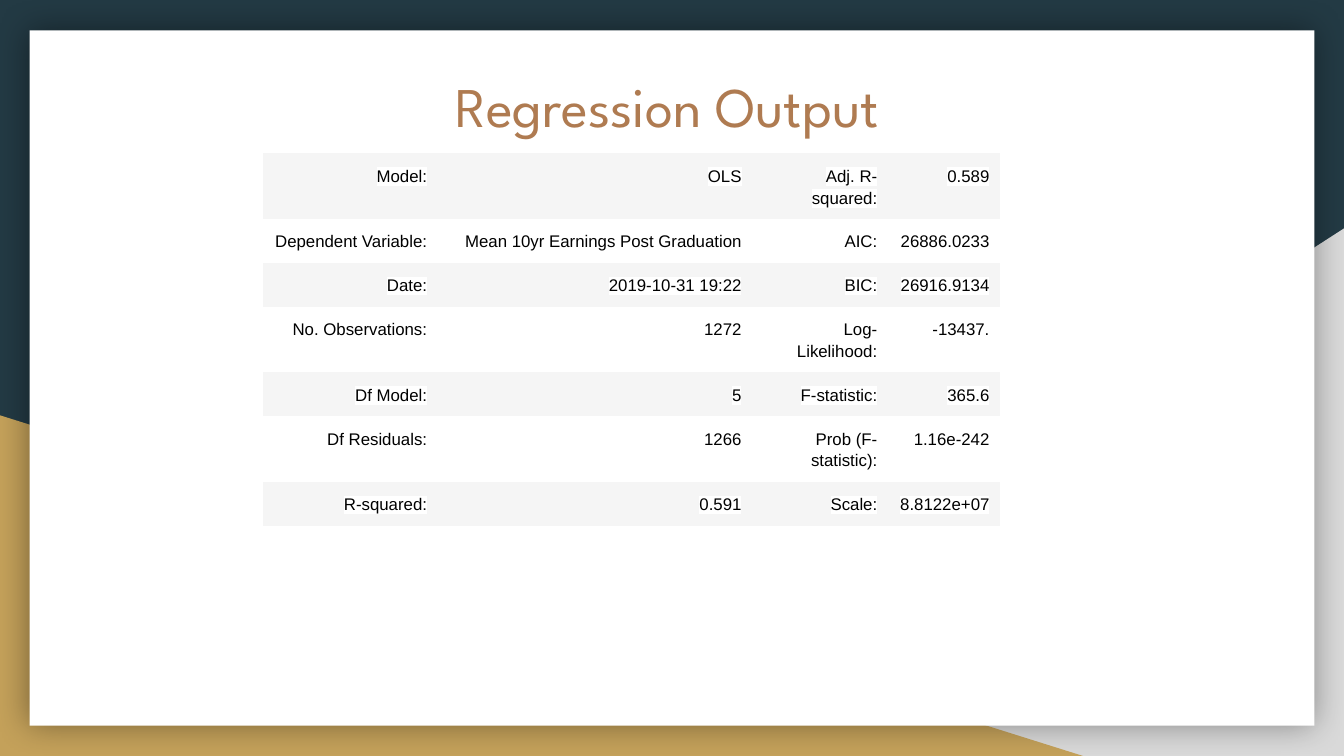
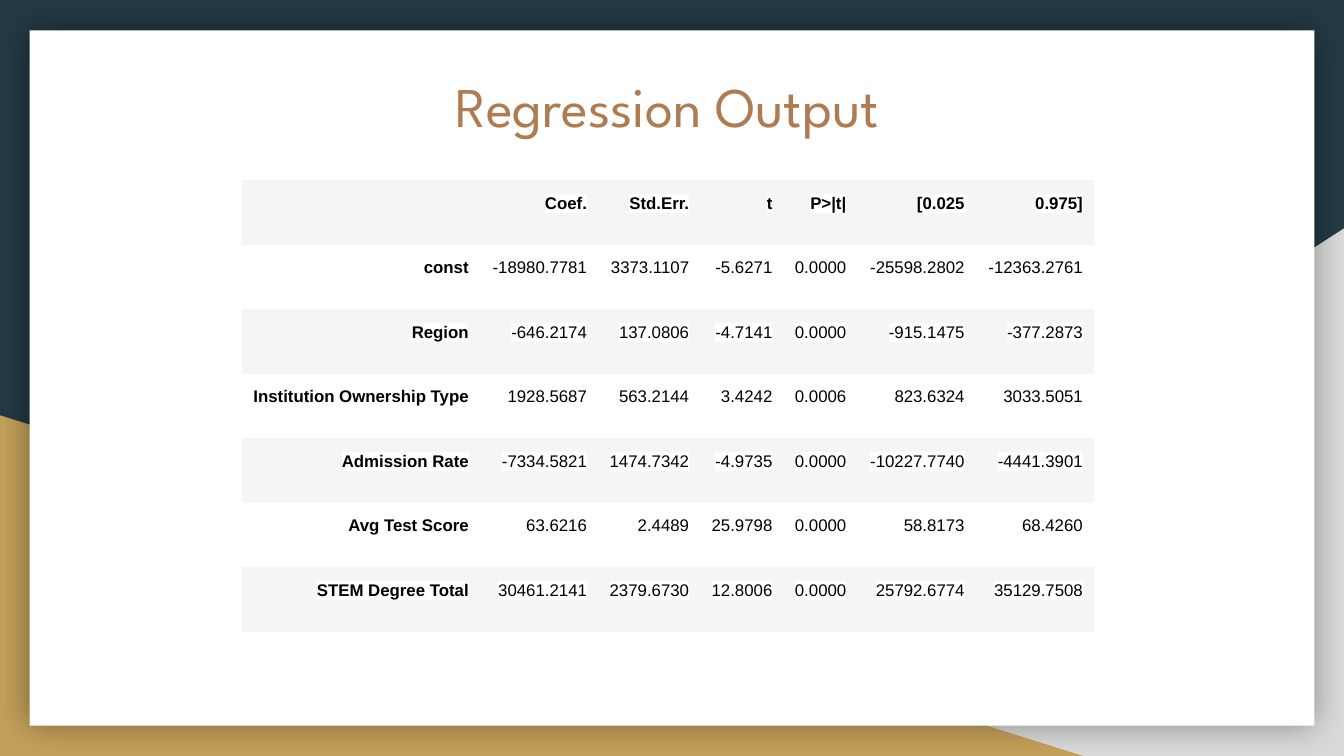
from lxml.etree import SubElement
from pptx import Presentation
from pptx.dml.color import RGBColor
from pptx.enum.shapes import MSO_SHAPE as Preset
from pptx.enum.text import MSO_ANCHOR as Anchor, PP_ALIGN as Align
from pptx.oxml import parse_xml
from pptx.oxml.ns import nsdecls, qn
from pptx.util import Inches, Pt

# Grid: 100 columns by 56.25 rows, each a tenth of an inch
COLUMNS, ROWS = 100, 56.25
TITLE_BOX = (8.6, 4.3, 82.1, 10.4)
CELL_MARGIN = 0.83
DARK, GRAY, GOLD, COPPER = "233A44", "D9D9D9", "C4A15A", "AF7B51"
WHITE, BLACK, STRIPE = "FFFFFF", "000000", "F5F5F5"
TITLE_FONT, TABLE_FONT = "League Spartan", "Arial"
NO_TABLE_STYLE = "{2D5ABB26-0587-4C30-8999-92F81FD0307C}"

MODEL_SUMMARY = [
    ["Model:", "OLS", "Adj. R-squared:", "0.589"],
    ["Dependent Variable:", "Mean 10yr Earnings Post Graduation", "AIC:", "26886.0233"],
    ["Date:", "2019-10-31 19:22", "BIC:", "26916.9134"],
    ["No. Observations:", "1272", "Log-Likelihood:", "-13437."],
    ["Df Model:", "5", "F-statistic:", "365.6"],
    ["Df Residuals:", "1266", "Prob (F-statistic):", "1.16e-242"],
    ["R-squared:", "0.591", "Scale:", "8.8122e+07"],
]
COEFFICIENTS = [
    ["", "Coef.", "Std.Err.", "t", "P>|t|", "[0.025", "0.975]"],
    ["const", "-18980.7781", "3373.1107", "-5.6271", "0.0000", "-25598.2802", "-12363.2761"],
    ["Region", "-646.2174", "137.0806", "-4.7141", "0.0000", "-915.1475", "-377.2873"],
    ["Institution Ownership Type", "1928.5687", "563.2144", "3.4242", "0.0006",
     "823.6324", "3033.5051"],
    ["Admission Rate", "-7334.5821", "1474.7342", "-4.9735", "0.0000",
     "-10227.7740", "-4441.3901"],
    ["Avg Test Score", "63.6216", "2.4489", "25.9798", "0.0000", "58.8173", "68.4260"],
    ["STEM Degree Total", "30461.2141", "2379.6730", "12.8006", "0.0000",
     "25792.6774", "35129.7508"],
]


def color(hex_string):
    return RGBColor.from_string(hex_string)


def grid(units):
    return Inches(units / 10)


class Deck:
    """Holds the shared style and the current slide."""

    def __init__(self):
        self.presentation = Presentation()
        self.presentation.slide_width = grid(COLUMNS)
        self.presentation.slide_height = grid(ROWS)
        self.layout = self.presentation.slide_layouts.get_by_name("Title Only")
        self.slide = None

    def style_layout(self):
        """Put the background, triangles and white card on the layout."""
        fill = self.layout.background.fill
        fill.solid()
        fill.fore_color.rgb = color(DARK)
        for placeholder in list(self.layout.placeholders):
            if placeholder.placeholder_format.idx == 0:
                self.place(placeholder, *TITLE_BOX)
            else:
                placeholder.element.getparent().remove(placeholder.element)
        right = self.shape(Preset.RIGHT_TRIANGLE, 39.2, 17, 60.8, 39.25, GRAY)
        right.element.spPr.find(qn("a:xfrm")).set("flipH", "1")
        left = self.shape(Preset.RIGHT_TRIANGLE, 0, 30.9, 80.6, 25.35, GOLD)
        card = self.shape(Preset.RECTANGLE, 2.2, 2.25, 95.6, 51.75, WHITE)
        self.add_glow_shadow(card)
        for index, shape in enumerate((right, left, card), start=2):
            self.layout.shapes.element.insert(index, shape.element)

    def add_slide(self):
        self.slide = self.presentation.slides.add_slide(self.layout)

    def place(self, shape, left, top, width, height):
        shape.left, shape.top = grid(left), grid(top)
        shape.width, shape.height = grid(width), grid(height)

    def shape(self, preset, left, top, width, height, fill):
        shape = self.slide.shapes.add_shape(
            preset, grid(left), grid(top), grid(width), grid(height))
        shape.shadow.inherit = False
        shape.fill.solid()
        shape.fill.fore_color.rgb = color(fill)
        shape.line.fill.background()
        return shape

    def add_glow_shadow(self, shape):
        effects = shape.element.spPr.find(qn("a:effectLst"))
        shadow = SubElement(effects, qn("a:outerShdw"), blurRad=str(Pt(18)),
                            dist="0", dir="0", algn="ctr", rotWithShape="0")
        shade = SubElement(shadow, qn("a:srgbClr"), val=BLACK)
        SubElement(shade, qn("a:alpha"), val="40000")

    def run(self, paragraph, text, font, size, ink, bold=False):
        run = paragraph.add_run()
        run.text = text
        run.font.name, run.font.size, run.font.bold = font, Pt(size), bold
        run.font.color.rgb = color(ink)
        return run

    def highlight(self, run):
        fill = run._r.rPr.find(qn("a:solidFill"))
        fill.addnext(parse_xml(f'<a:highlight {nsdecls("a")}>'
                               f'<a:srgbClr val="{WHITE}"/></a:highlight>'))

    def title(self, text):
        title = self.slide.shapes.title
        self.place(title, *TITLE_BOX)
        frame = title.text_frame
        frame.word_wrap, frame.vertical_anchor = True, Anchor.TOP
        frame.margin_left = frame.margin_right = grid(1)
        frame.margin_top = frame.margin_bottom = grid(1)
        paragraph = frame.paragraphs[0]
        paragraph.alignment = Align.CENTER
        self.run(paragraph, text, TITLE_FONT, 30, COPPER)

    def table(self, left, top, widths, row_height, data, bold_headers=False):
        frame = self.slide.shapes.add_table(
            len(data), len(widths), grid(left), grid(top),
            grid(sum(widths)), grid(row_height * len(data)))
        table = frame.table
        table.first_row = table.horz_banding = False
        frame.element.find(".//" + qn("a:tableStyleId")).text = NO_TABLE_STYLE
        for column, width in zip(table.columns, widths):
            column.width = grid(width)
        for row_index, (row, texts) in enumerate(zip(table.rows, data)):
            row.height = grid(row_height)
            for column_index, (cell, text) in enumerate(zip(row.cells, texts)):
                header = row_index == 0 or column_index == 0
                self.cell(cell, text, WHITE if row_index % 2 else STRIPE,
                          bold_headers and header)

    def cell(self, cell, text, fill, bold):
        cell.fill.solid()
        cell.fill.fore_color.rgb = color(fill)
        cell.margin_left = cell.margin_right = grid(CELL_MARGIN)
        cell.margin_top = cell.margin_bottom = grid(CELL_MARGIN)
        if text:
            paragraph = cell.text_frame.paragraphs[0]
            paragraph.alignment, paragraph.line_spacing = Align.RIGHT, 1.15
            self.highlight(self.run(paragraph, text, TABLE_FONT, 9, BLACK, bold))


def main():
    deck = Deck()

    # Model summary
    deck.add_slide()
    deck.style_layout()
    deck.title("Regression Output")
    deck.table(19.6, 11.4, [13, 23.4, 10.1, 8.35], 3.1, MODEL_SUMMARY)

    # Coefficients
    deck.add_slide()
    deck.title("Regression Output")
    deck.table(18, 13.4, [17.7, 8.8, 7.6, 6.2, 5.5, 8.8, 8.8], 4.8, COEFFICIENTS,
               bold_headers=True)

    deck.presentation.save("out.pptx")


if __name__ == "__main__":
    main()
